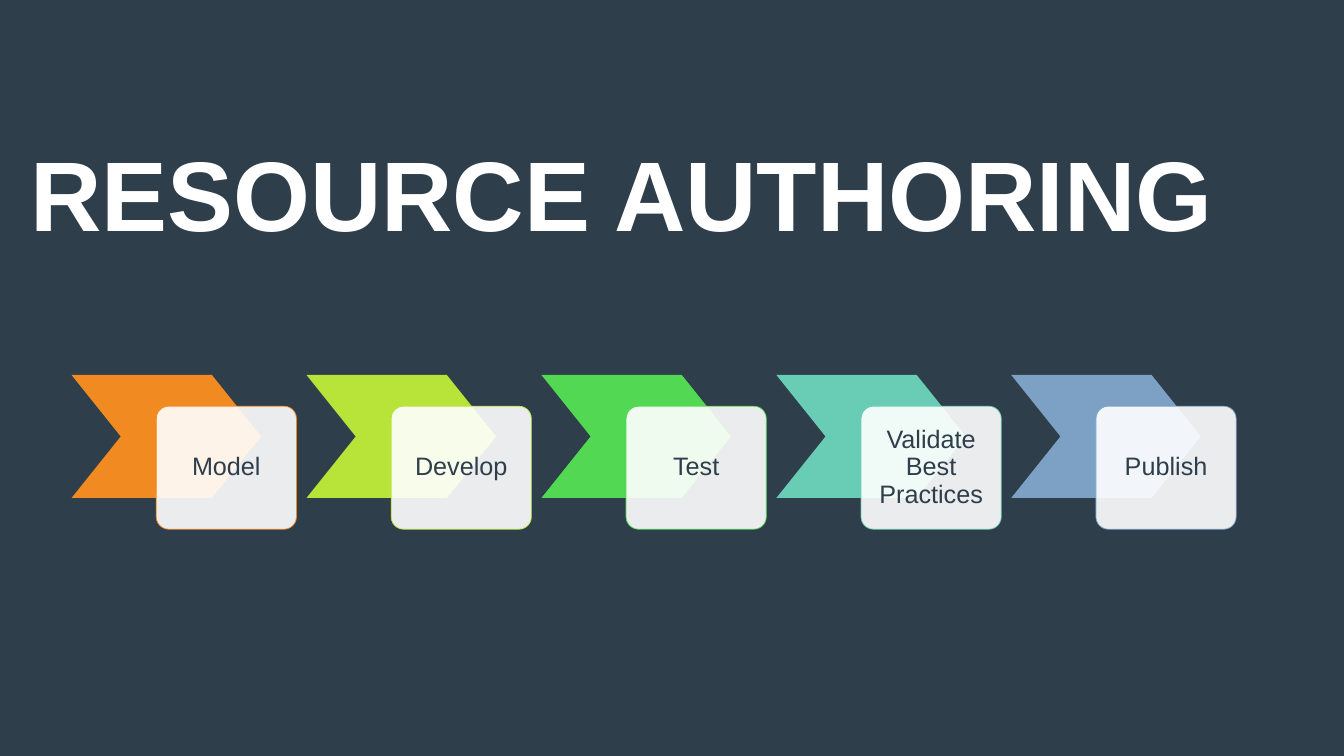
from lxml import etree
from pptx import Presentation
from pptx.dml.color import RGBColor
from pptx.enum import shapes, text
from pptx.oxml.ns import qn
from pptx.util import Inches, Pt

# Content
TITLE = "RESOURCE AUTHORING"
STEPS = [
    ("Model", "orange"),
    ("Develop", "lime"),
    ("Test", "green"),
    ("Validate Best Practices", "teal"),
    ("Publish", "blue"),
]
COLORS = {
    "background": "2F3E4B",
    "white": "FFFFFF",
    "orange": "F18B21",
    "lime": "B8E43A",
    "green": "52D852",
    "teal": "68CDB4",
    "blue": "7DA1C4",
}

# Layout in inches
FIRST_LEFT, CHEVRON_TOP, STEP_PITCH = 0.71, 3.72, 2.33
CHEVRON_WIDTH, CARD_WIDTH, STEP_HEIGHT = 1.88, 1.39, 1.22
CARD_SHIFT_X, CARD_SHIFT_Y = 0.84, 0.31


def color(name):
    return RGBColor.from_string(COLORS[name])


def write(shape, words, *, size, ink, bold=False, inset=0.0, spacing=1.0,
          align=text.PP_ALIGN.LEFT, anchor=text.MSO_ANCHOR.MIDDLE):
    frame = shape.text_frame
    frame.word_wrap = True
    frame.vertical_anchor = anchor
    frame.margin_left = frame.margin_right = Inches(inset)
    frame.margin_top = frame.margin_bottom = Inches(inset)
    paragraph = frame.paragraphs[0]
    paragraph.alignment = align
    paragraph.line_spacing = spacing
    run = paragraph.add_run()
    run.text = words
    run.font.name = "Arial"
    run.font.size = Pt(size)
    run.font.bold = bold
    run.font.color.rgb = color(ink)


def add_block(slide, kind, left, top, width, fill, adjustment):
    shape = slide.shapes.add_shape(
        kind, Inches(left), Inches(top), Inches(width), Inches(STEP_HEIGHT))
    shape.adjustments[0] = adjustment
    shape.shadow.inherit = False
    shape.fill.solid()
    shape.fill.fore_color.rgb = color(fill)
    shape.line.fill.background()
    return shape


def add_step(slide, left, label, accent):
    # Chevron behind
    add_block(slide, shapes.MSO_SHAPE.CHEVRON, left, CHEVRON_TOP,
              CHEVRON_WIDTH, accent, 0.4)

    # Translucent card with the label
    card = add_block(slide, shapes.MSO_SHAPE.ROUNDED_RECTANGLE,
                     left + CARD_SHIFT_X, CHEVRON_TOP + CARD_SHIFT_Y,
                     CARD_WIDTH, "white", 0.1)
    fill_color = card.fill._xPr.find(qn("a:solidFill"))[0]
    etree.SubElement(fill_color, qn("a:alpha")).set("val", "90000")
    card.line.color.rgb = color(accent)
    card.line.width = Pt(0.5)
    write(card, label, size=18, ink="background", inset=0.14, spacing=0.9,
          align=text.PP_ALIGN.CENTER)


def main():
    presentation = Presentation()
    presentation.slide_width = Inches(13.33)
    presentation.slide_height = Inches(7.5)
    slide = presentation.slides.add_slide(presentation.slide_layouts[6])
    slide.background.fill.solid()
    slide.background.fill.fore_color.rgb = color("background")

    # Title
    title = slide.shapes.add_textbox(
        Inches(0.3), Inches(1.3), Inches(12.75), Inches(1.19))
    write(title, TITLE, size=70.6, ink="white", bold=True,
          anchor=text.MSO_ANCHOR.BOTTOM)

    # Process steps
    for index, (label, accent) in enumerate(STEPS):
        add_step(slide, FIRST_LEFT + index * STEP_PITCH, label, accent)

    presentation.save("out.pptx")


if __name__ == "__main__":
    main()
